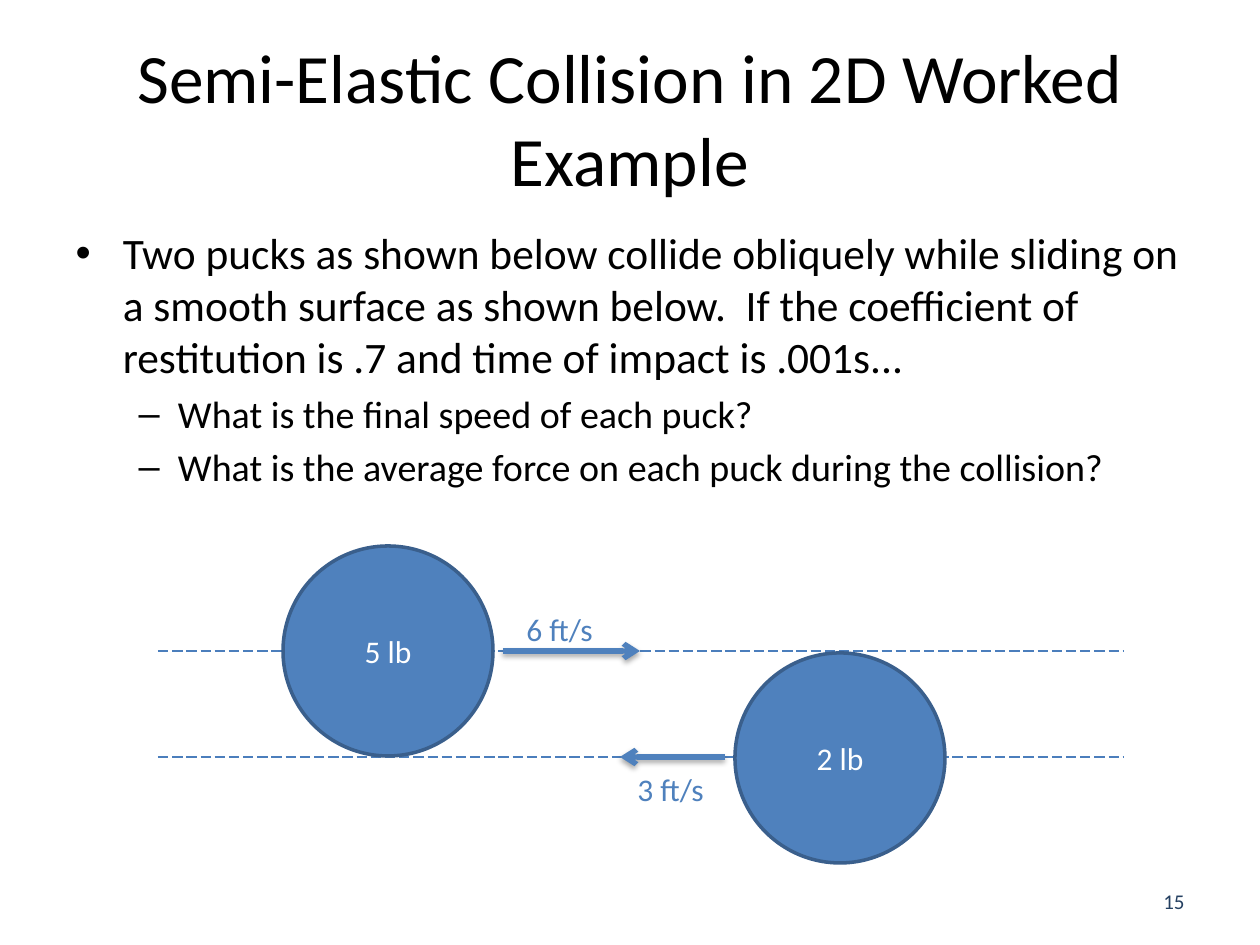
from lxml.etree import SubElement
from pptx import Presentation
from pptx.dml.color import RGBColor
from pptx.enum.dml import MSO_LINE
from pptx.enum.shapes import MSO_CONNECTOR, MSO_SHAPE
from pptx.enum.text import MSO_ANCHOR, MSO_AUTO_SIZE, PP_ALIGN
from pptx.oxml.ns import qn
from pptx.util import Emu, Pt

PX = 914400 // 126
BLUE, EDGE, DASH = "4F81BD", "3A5F8C", "4B7EBC"

TITLE = "Semi-Elastic Collision in 2D Worked Example"
BODY = [
    (0, 24.8, "Two pucks as shown below collide obliquely while sliding on a smooth "
              "surface as shown below.  If the coefficient of restitution is .7 and "
              "time of impact is .001s..."),
    (1, 21.7, "What is the final speed of each puck?"),
    (1, 21.7, "What is the average force on each puck during the collision?"),
]
PAGE = "15"
PATHS_Y = (651, 757)
PATH_X = (158, 1124)
DIAMETER = 210
PUCKS = [("5 lb", 388, 651), ("2 lb", 840, 758)]  # label, centre
# label, arrow start and end, path, label position
SPEEDS = [
    ("6 ft/s", 503, 640, PATHS_Y[0], (514, 604)),
    ("3 ft/s", 725, 620, PATHS_Y[1], (625, 764)),
]


def px(*values):
    return [Emu(v * PX) for v in values]


def rgb(color):
    return RGBColor.from_string(color)


def write(p, text, size=18, color="000000", align=None):
    p.text = text
    p.alignment = align
    f = p.font
    f.name, f.size, f.color.rgb = "Calibri", Pt(size), rgb(color)


def place(sp, *box):
    sp.left, sp.top, sp.width, sp.height = px(*box)


def add_line(s, x1, x2, y, color, width):
    c = s.shapes.add_connector(MSO_CONNECTOR.STRAIGHT, *px(x1, y, x2, y))
    c.line.color.rgb, c.line.width = rgb(color), Pt(width)
    effects = SubElement(c._element.spPr, qn("a:effectLst"))
    return c, effects


def add_arrow(s, x1, x2, y):
    c, effects = add_line(s, x1, x2, y, BLUE, 3)
    SubElement(c.line._get_or_add_ln(), qn("a:tailEnd"), type="arrow")
    shadow = SubElement(effects, qn("a:outerShdw"), blurRad=str(Pt(3.1)),
                        dist=str(Pt(1.8)), dir="5400000", rotWithShape="0")
    black = SubElement(shadow, qn("a:srgbClr"), val="000000")
    SubElement(black, qn("a:alpha"), val="35000")


def add_puck(s, label, cx, cy):
    r = DIAMETER // 2
    sp = s.shapes.add_shape(MSO_SHAPE.OVAL, *px(cx - r, cy - r, DIAMETER, DIAMETER))
    sp.shadow.inherit = False
    sp.fill.solid()
    sp.fill.fore_color.rgb = rgb(BLUE)
    sp.line.color.rgb, sp.line.width = rgb(EDGE), Pt(2)
    sp.text_frame.vertical_anchor = MSO_ANCHOR.MIDDLE
    write(sp.text_frame.paragraphs[0], label, color="FFFFFF", align=PP_ALIGN.CENTER)


def main():
    prs = Presentation()
    prs.slide_width, prs.slide_height = px(1260, 945)
    s = prs.slides.add_slide(prs.slide_layouts[1])

    for y in PATHS_Y:
        c, _ = add_line(s, *PATH_X, y, DASH, 0.75)
        c.line.dash_style = MSO_LINE.LONG_DASH

    title, body = s.shapes.title, s.placeholders[1]
    place(title, 63, 38, 1134, 158)
    place(body, 63, 220, 1134, 284)
    for sp in (title, body):
        sp.text_frame.word_wrap = True
        sp.text_frame.auto_size = MSO_AUTO_SIZE.NONE
    title.text_frame.vertical_anchor = MSO_ANCHOR.MIDDLE
    write(title.text_frame.paragraphs[0], TITLE, size=39.6, align=PP_ALIGN.CENTER)

    tf = body.text_frame
    for i, (level, size, text) in enumerate(BODY):
        p = tf.add_paragraph() if i else tf.paragraphs[0]
        p.level = level
        write(p, text, size=size)
    tf.paragraphs[0].space_before = Pt(0)

    tf = s.shapes.add_textbox(*px(903, 876, 294, 50)).text_frame
    tf.word_wrap, tf.vertical_anchor = True, MSO_ANCHOR.MIDDLE
    write(tf.paragraphs[0], PAGE, size=12, color="254061", align=PP_ALIGN.RIGHT)

    for puck in PUCKS:
        add_puck(s, *puck)
    for label, x1, x2, y, (left, top) in SPEEDS:
        add_arrow(s, x1, x2, y)
        tf = s.shapes.add_textbox(*px(left, top, 93, 50)).text_frame
        tf.word_wrap = False
        write(tf.paragraphs[0], label, color=BLUE)

    prs.save("out.pptx")


if __name__ == "__main__":
    main()
